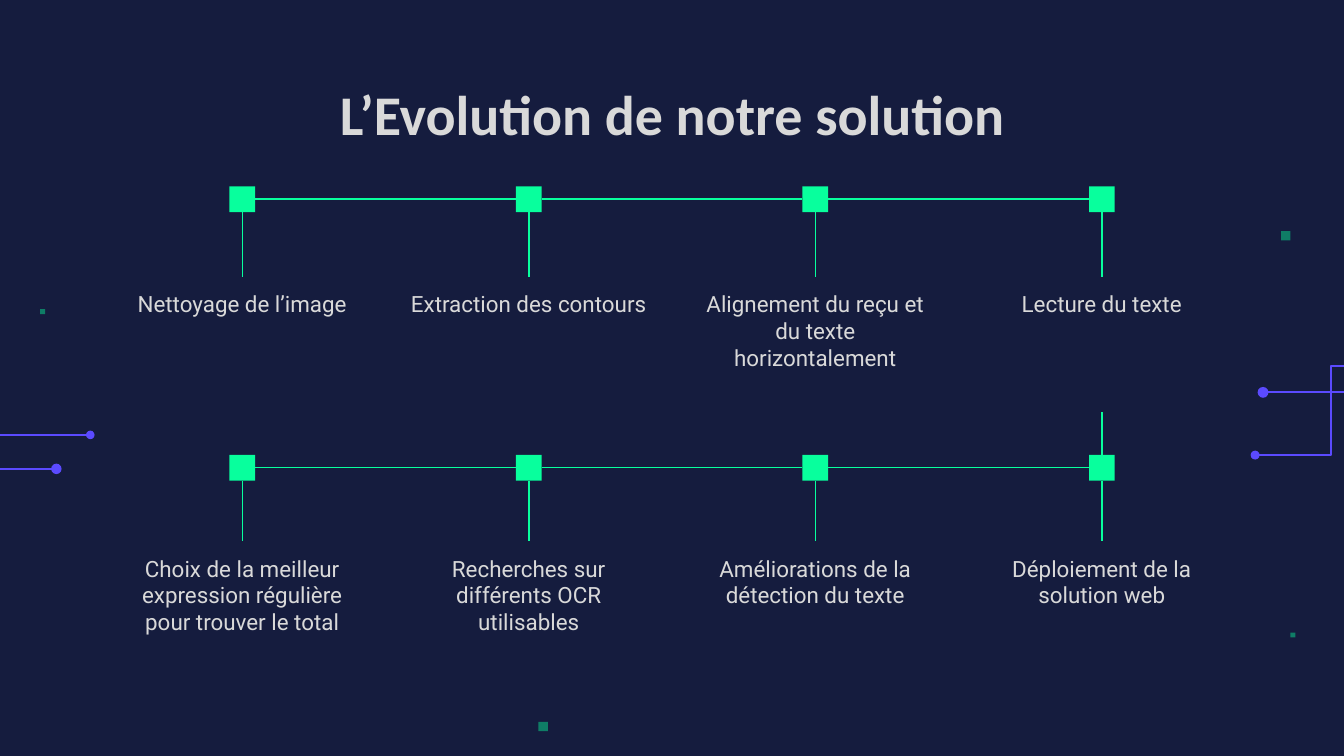
from pptx import Presentation
from pptx.dml.color import RGBColor
from pptx.enum.shapes import MSO_CONNECTOR, MSO_SHAPE
from pptx.enum.text import MSO_ANCHOR, PP_ALIGN
from pptx.oxml.ns import qn
from pptx.util import Pt
from lxml.etree import SubElement

NAVY = RGBColor(0x15, 0x1C, 0x3E)
GREEN = RGBColor(0x08, 0xFF, 0x9D)
PURPLE = RGBColor(0x5B, 0x4A, 0xFF)
GREY = RGBColor(0xD9, 0xD9, 0xD9)

deck = Presentation()
deck.slide_width, deck.slide_height = Pt(720), Pt(405)
page = deck.slides.add_slide(deck.slide_layouts[5])
page.background.fill.solid()
page.background.fill.fore_color.rgb = NAVY


def add_mark(kind, x, y, size, color):
    """Add a plain shape centred on x, y."""
    mark = page.shapes.add_shape(
        kind, Pt(x - size / 2), Pt(y - size / 2), Pt(size), Pt(size))
    mark.shadow.inherit = False
    mark.fill.solid()
    mark.fill.fore_color.rgb = color
    mark.line.fill.background()
    return mark


def add_line(x1, y1, x2, y2, color=GREEN, width=0.75):
    line = page.shapes.add_connector(
        MSO_CONNECTOR.STRAIGHT, Pt(x1), Pt(y1), Pt(x2), Pt(y2))
    line.line.color.rgb = color
    line.line.width = Pt(width)
    SubElement(line._element.spPr, qn("a:effectLst"))


# Circuit traces at the page edges
for x, y, size, edge in [(48.4, 233, 4.6, 0), (30.2, 251.2, 5.6, 0),
                         (676.6, 210.2, 5.8, 720)]:
    add_line(edge, y, x, y, PURPLE, 1.1)
    add_mark(MSO_SHAPE.OVAL, x, y, size, PURPLE)

builder = page.shapes.build_freeform(Pt(672.4), Pt(243.8))
builder.add_line_segments(
    [(Pt(713), Pt(243.8)), (Pt(713), Pt(196.2)), (Pt(720), Pt(196.2))], close=False)
trace = builder.convert_to_shape()
trace.shadow.inherit = False
trace.fill.background()
trace.line.color.rgb = PURPLE
trace.line.width = Pt(1.1)
add_mark(MSO_SHAPE.OVAL, 672.4, 243.8, 4.8, PURPLE)

# Faint scattered squares
for x, y, size in [(291, 389.2, 5), (688.8, 126.3, 5),
                   (22.8, 167, 2.7), (692.6, 340.2, 2.7)]:
    dot = add_mark(MSO_SHAPE.RECTANGLE, x, y, size, GREEN)
    tint = dot._element.spPr.find(qn("a:solidFill"))[0]
    SubElement(tint, qn("a:alpha"), val="43000")

# Title
title = page.shapes.title
title.left, title.top, title.width, title.height = Pt(56.7), Pt(35.5), Pt(607), Pt(45.1)
frame = title.text_frame
frame.word_wrap = True
frame.vertical_anchor = MSO_ANCHOR.TOP
frame.margin_left = frame.margin_right = frame.margin_top = frame.margin_bottom = Pt(7.2)
para = frame.paragraphs[0]
para.alignment = PP_ALIGN.CENTER
span = para.add_run()
span.text = "L’Evolution de notre solution"
span.font.name, span.font.size, span.font.bold = "Calibri", Pt(30), True
span.font.color.rgb = GREY

# Two timeline rows: centre height, label top, steps
ROWS = [
    (106.7, 148.2, ["Nettoyage de l’image", "Extraction des contours",
                    "Alignement du reçu et du texte horizontalement",
                    "Lecture du texte"]),
    (250.6, 290, ["Choix de la meilleur expression régulière pour trouver le total",
                  "Recherches sur différents OCR utilisables",
                  "Améliorations de la détection du texte",
                  "Déploiement de la solution web"]),
]
FIRST_X, PITCH, NODE = 129.8, 153.5, 13.8
LABEL_W, LABEL_H = 141.8, 72.8
HALF = NODE / 2

for y, label_top, steps in ROWS:
    for column, step in enumerate(steps):
        x = FIRST_X + column * PITCH
        add_mark(MSO_SHAPE.RECTANGLE, x, y, NODE, GREEN)
        add_line(x, y + HALF, x, label_top)
        if column:
            add_line(x - PITCH + HALF, y, x - HALF, y)

        box = page.shapes.add_textbox(
            Pt(x - LABEL_W / 2), Pt(label_top), Pt(LABEL_W), Pt(LABEL_H))
        frame = box.text_frame
        frame.word_wrap = True
        frame.margin_left = frame.margin_right = Pt(7.2)
        frame.margin_top = frame.margin_bottom = Pt(7.2)
        para = frame.paragraphs[0]
        para.alignment = PP_ALIGN.CENTER
        span = para.add_run()
        span.text = step
        span.font.name, span.font.size = "Roboto", Pt(12)
        span.font.color.rgb = GREY

# Link from the first row's last label down to the second row
last_x = FIRST_X + 3 * PITCH
add_line(last_x, ROWS[0][1] + LABEL_H, last_x, ROWS[1][0] - HALF)

deck.save("out.pptx")
